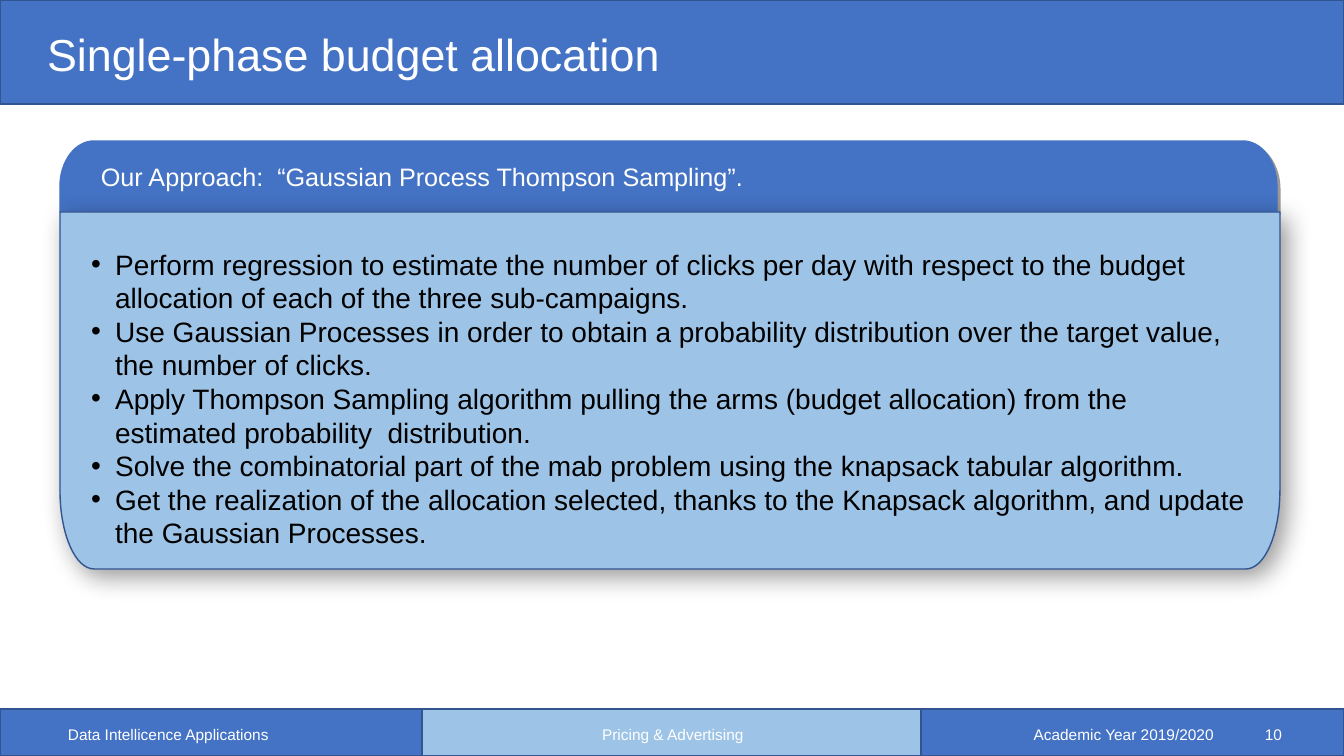
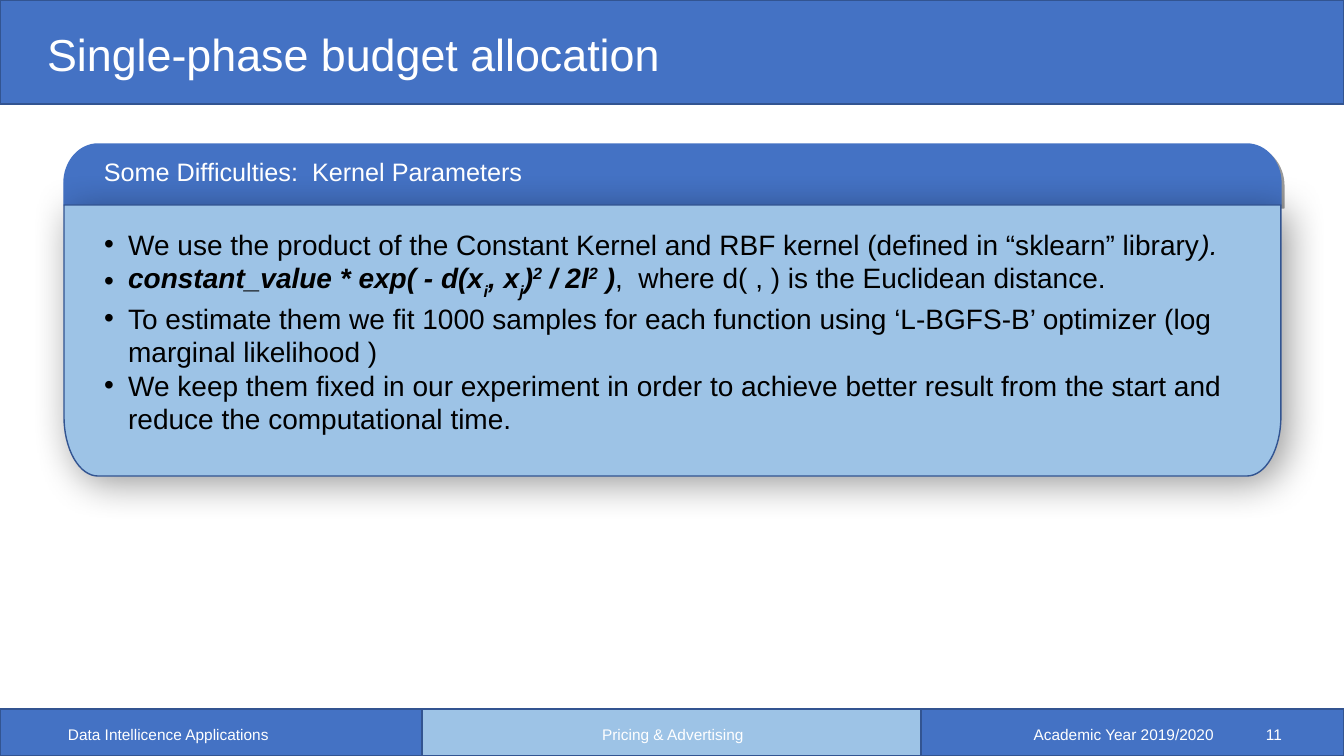
import math
import pptx
import pptx.util
import pptx.dml.color
import pptx.enum.shapes
import pptx.enum.text
import pptx.oxml
import pptx.oxml.ns

WIDTH, HEIGHT = 1344, 756
SCALE = 914400 / 100.8
FONT = "Arial"
BLUE, LIGHT, EDGE = "4472C4", "9DC3E6", "325491"
WHITE, BLACK = "FFFFFF", "000000"
ALIGN = pptx.enum.text.PP_ALIGN
ANCHOR = pptx.enum.text.MSO_ANCHOR

BANDS = [
    ((0, 709, WIDTH, 47), BLUE),
    ((422, 709, 499, 47), LIGHT),
    ((0, 0, WIDTH, 104), BLUE),
]
FOOTERS = [
    ("Data Intellicence Applications", (58, 721, 302, 27), ALIGN.LEFT),
    ("Pricing & Advertising", (446, 721, 454, 27), ALIGN.CENTER),
    ("Academic Year 2019/2020", (960, 721, 264, 27), ALIGN.RIGHT),
]
NUMBER_BOX = (1232, 721, 60, 27)
TITLE_BOX = (37, 24, 1159, 65)
CORNER = 34

SLIDES = [
    {
        "number": "10",
        "title": "Single-phase budget allocation",
        "heading": "Our Approach:  “Gaussian Process Thompson Sampling”.",
        "heading_box": (91, 156, 1129, 53),
        "header": (60, 141, 1217, 71),
        "card": (60, 212, 1220, 357),
        "blur": 18,
        "body_box": (81, 242, 1184, 379),
        "bullets": [
            [("Perform regression to estimate the number of clicks per day with respect "
              "to the budget allocation of each of the three sub-campaigns.", "")],
            [("Use Gaussian Processes in order to obtain a probability distribution "
              "over the target value, the number of clicks.", "")],
            [("Apply Thompson Sampling algorithm pulling the arms (budget allocation) "
              "from the estimated probability  distribution.", "")],
            [("Solve the combinatorial part of the mab problem using the knapsack "
              "tabular algorithm.", "")],
            [("Get the realization of the allocation selected, thanks to the Knapsack "
              "algorithm, and update the Gaussian Processes.", "")],
        ],
    },
    {
        "number": "11",
        "title": "Single-phase budget allocation",
        "heading": "Some Difficulties:  Kernel Parameters",
        "heading_box": (94, 151, 1129, 53),
        "header": (64, 144, 1217, 61),
        "card": (64, 205, 1217, 271),
        "blur": 28,
        "body_box": (94, 222, 1184, 312),
        "bullets": [
            [("We use the product of the Constant Kernel and RBF kernel (defined in "
              "“sklearn” library", ""), (").", "i")],
            [("constant_value * exp( - d(x", "bi"), ("i", "bi_"), (", x", "bi"),
             ("j", "bi_"), (")", "bi"), ("2", "bi^"), (" / 2l", "bi"), ("2", "bi^"),
             (" )", "bi"), (",  where d( , ) is the Euclidean distance.", "")],
            [("To estimate them we fit 1000 samples for each function using "
              "‘L-BGFS-B’ optimizer (log marginal likelihood )", "")],
            [("We keep them fixed in our experiment in order to achieve better result "
              "from the start and reduce the computational time.", "")],
        ],
    },
]


def px(n):
    return pptx.util.Emu(round(n * SCALE))


def rgb(value):
    return pptx.dml.color.RGBColor.from_string(value)


def place(sp, box):
    sp.left, sp.top, sp.width, sp.height = map(px, box)


def paint(sp, fill, line):
    sp.shadow.inherit = False
    sp.fill.solid()
    sp.fill.fore_color.rgb = rgb(fill)
    sp.line.color.rgb = rgb(line)
    sp.line.width = pptx.util.Pt(1)


def style_font(r, size, color):
    r.font.name = FONT
    r.font.size = pptx.util.Pt(size)
    r.font.color.rgb = rgb(color)


def fill_line(tf, text, size, align, anchor):
    tf.text = text
    tf.word_wrap = True
    tf.auto_size = pptx.enum.text.MSO_AUTO_SIZE.NONE
    tf.vertical_anchor = anchor
    p = tf.paragraphs[0]
    p.alignment = align
    style_font(p.runs[0], size, WHITE)
    return p


def add_label(s, text, box, size, align=ALIGN.LEFT, anchor=ANCHOR.MIDDLE):
    sp = s.shapes.add_textbox(*map(px, box))
    fill_line(sp.text_frame, text, size, align, anchor)
    return sp


def add_shadow(sp, blur, distance):
    effects = sp._element.spPr.find(pptx.oxml.ns.qn("a:effectLst"))
    effects.append(pptx.oxml.parse_xml(
        f'<a:outerShdw {pptx.oxml.ns.nsdecls("a")} blurRad="{blur * 12700}" '
        f'dist="{distance * 12700}" dir="2700000" algn="tl" rotWithShape="0">'
        '<a:srgbClr val="000000"><a:alpha val="40000"/></a:srgbClr></a:outerShdw>'))


def add_panel(s, box, ratio, top, fill, line, blur, distance):
    x, y, w, h = box
    ry = h * ratio
    steps = 16
    arc = [(CORNER * (1 - math.cos(a)), ry * (1 - math.sin(a)))
           for a in (i * math.pi / 2 / steps for i in range(steps + 1))]
    edge = [(x, y + h)] + [(x + dx, y + dy) for dx, dy in arc]
    edge += [(x + w - dx, y + dy) for dx, dy in reversed(arc)] + [(x + w, y + h)]
    if not top:
        edge = [(ex, 2 * y + h - ey) for ex, ey in edge]
    points = [(px(ex), px(ey)) for ex, ey in edge]
    builder = s.shapes.build_freeform(*points[0], scale=1.0)
    builder.add_line_segments(points[1:], close=True)
    sp = builder.convert_to_shape()
    paint(sp, fill, line)
    add_shadow(sp, blur, distance)


def fill_bullets(tf, bullets):
    tf.word_wrap = True
    tf.auto_size = pptx.enum.text.MSO_AUTO_SIZE.NONE
    tf.vertical_anchor = ANCHOR.TOP
    for i, parts in enumerate(bullets):
        p = tf.add_paragraph() if i else tf.paragraphs[0]
        p.space_before = pptx.util.Pt(0)
        pPr = p._p.get_or_add_pPr()
        pPr.set("marL", str(px(24)))
        pPr.set("indent", str(px(-24)))
        for text, marks in parts:
            r = p.add_run()
            r.text = text
            style_font(r, 20, BLACK)
            r.font.bold = "b" in marks
            r.font.italic = "i" in marks
            for mark, baseline in (("_", "-33000"), ("^", "33000")):
                if mark in marks:
                    r._r.get_or_add_rPr().set("baseline", baseline)


def build_layout(layout, s):
    shared = []
    for box, fill in BANDS:
        sp = s.shapes.add_shape(pptx.enum.shapes.MSO_SHAPE.RECTANGLE, *map(px, box))
        paint(sp, fill, EDGE)
        shared.append(sp)
    shared += [add_label(s, text, box, 11, align) for text, box, align in FOOTERS]
    for i, sp in enumerate(shared):
        sp._element.xpath(".//p:cNvPr")[0].set("id", str(100 + i))
        layout.shapes._spTree.insert(2 + i, sp._element)
    place(layout.placeholders[0], TITLE_BOX)


def build_slide(s, content):
    title, body = s.shapes.title, s.placeholders[1]
    p = fill_line(title.text_frame, content["title"], 32, ALIGN.LEFT, ANCHOR.MIDDLE)
    p.line_spacing = 0.9
    add_panel(s, content["header"], 0.64, True, BLUE, BLUE, 0, 3)
    add_panel(s, content["card"], 0.22, False, LIGHT, EDGE, content["blur"], 7)
    place(body, content["body_box"])
    fill_bullets(body.text_frame, content["bullets"])
    s.shapes._spTree.append(body._element)
    add_label(s, content["heading"], content["heading_box"], 18, anchor=ANCHOR.TOP)
    add_label(s, content["number"], NUMBER_BOX, 11, ALIGN.RIGHT)


def main():
    prs = pptx.Presentation()
    prs.slide_width, prs.slide_height = px(WIDTH), px(HEIGHT)
    layout = prs.slide_layouts[1]
    for i, content in enumerate(SLIDES):
        s = prs.slides.add_slide(layout)
        if i == 0:
            build_layout(layout, s)
        build_slide(s, content)
    prs.save("out.pptx")


if __name__ == "__main__":
    main()
